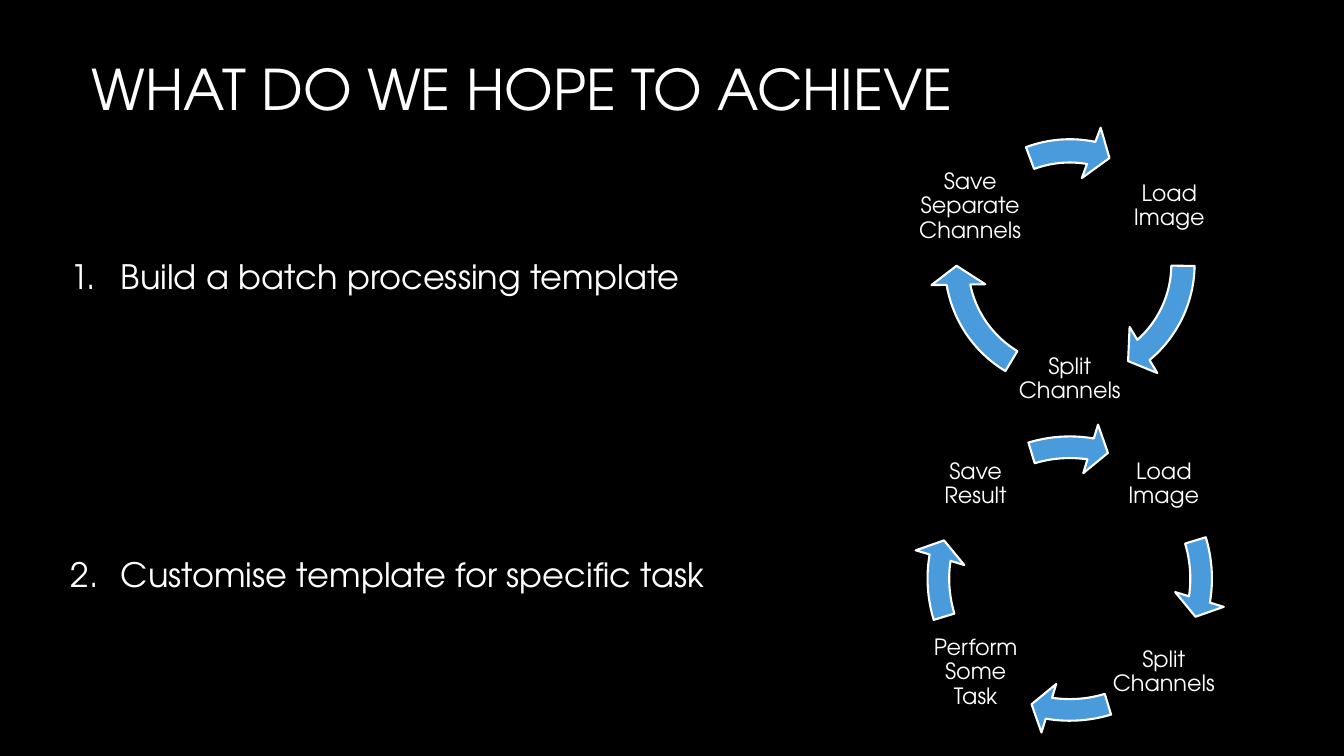
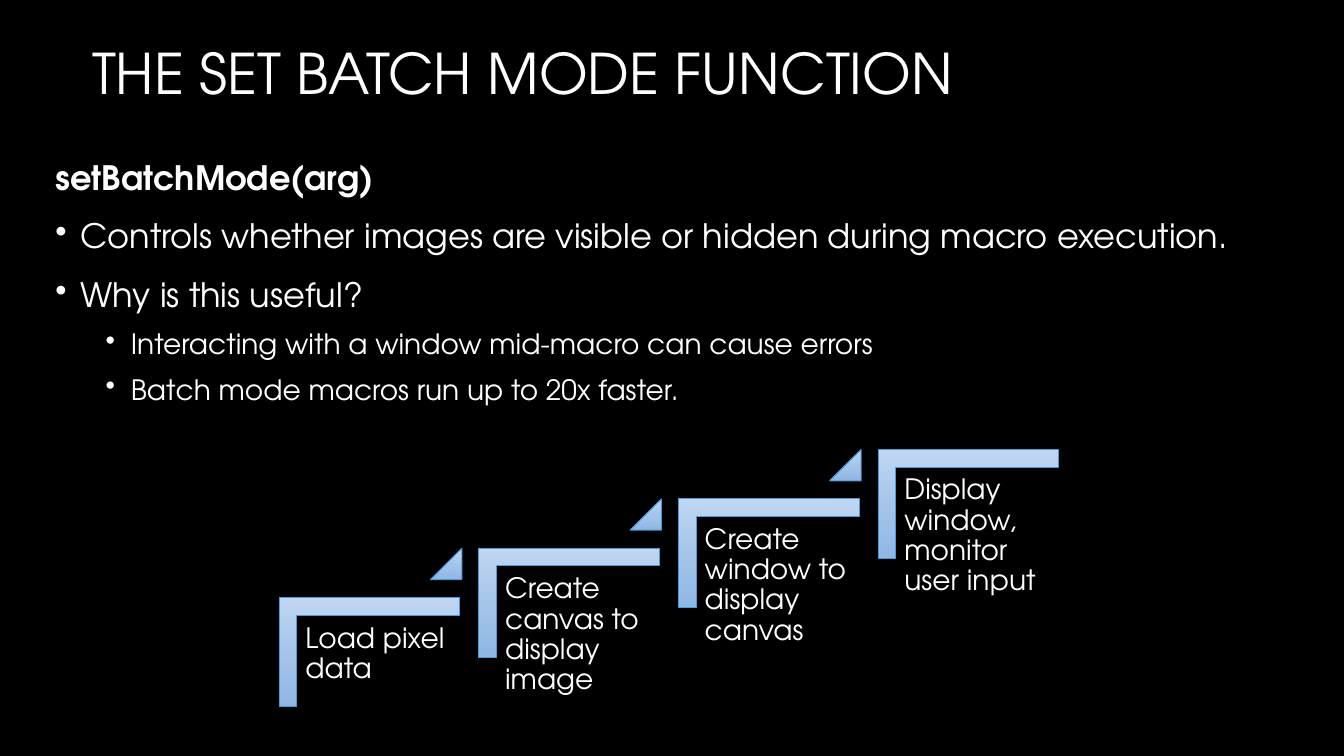
from copy import deepcopy
from dataclasses import dataclass
from math import cos, radians, sin

from lxml import etree
from pptx import Presentation
from pptx.dml.color import RGBColor
from pptx.enum.shapes import MSO_SHAPE
from pptx.enum.text import MSO_ANCHOR, MSO_AUTO_SIZE, PP_ALIGN
from pptx.oxml.ns import qn
from pptx.util import Inches, Pt

ARC, CORNER = MSO_SHAPE.CIRCULAR_ARROW, MSO_SHAPE.CORNER
WEDGE = MSO_SHAPE.ISOSCELES_TRIANGLE
TOP, MIDDLE = MSO_ANCHOR.TOP, MSO_ANCHOR.MIDDLE
LEFT, CENTER, RIGHT = PP_ALIGN.LEFT, PP_ALIGN.CENTER, PP_ALIGN.RIGHT


@dataclass(frozen=True)
class Theme:
    font: str = "TeX Gyre Adventor"
    back: str = "000000"
    ink: str = "FFFFFF"
    blue: str = "4A9BDC"
    shade: tuple = ((0, "BFD6F2"), (0.52, "A4C4E9"), (1, "8FB7E4"))
    title: int = 40
    body: int = 24
    sub: int = 20
    small: int = 16


THEME = Theme()


def rgb(code):
    return RGBColor.from_string(code)


def place(shape, left, top, width, height):
    shape.left, shape.top = Inches(left), Inches(top)
    shape.width, shape.height = Inches(width), Inches(height)


# Text
def frame(shape, anchor=TOP, inset=None):
    box = shape.text_frame
    box.word_wrap = True
    box.auto_size = MSO_AUTO_SIZE.NONE
    box.vertical_anchor = anchor
    if inset is not None:
        box.margin_left = box.margin_right = Inches(inset)
        box.margin_top = box.margin_bottom = Inches(inset)
    return box


def text_box(slide, *area, **form):
    return frame(slide.shapes.add_textbox(*map(Inches, area)), **form)


def mark(para, indent, hang, bullet=None, start=None):
    props = para._p.get_or_add_pPr()
    props.set("marL", str(Inches(indent)))
    props.set("indent", str(-Inches(hang)))
    if start:
        etree.SubElement(props, qn("a:buAutoNum"), type="arabicPeriod",
                         startAt=str(start))
    else:
        etree.SubElement(props, qn("a:buChar"), char=bullet)


def write(box, text, size=THEME.body, bold=False, align=LEFT,
          before=0, after=0, marker=None):
    """Fill the box's empty first paragraph, or add one below."""
    para = box.paragraphs[0]
    if para.runs:
        para = box.add_paragraph()
        para.space_before = Pt(before)
    else:
        para.space_before = Pt(0)
    if marker:
        mark(para, **marker)
    para.alignment, para.line_spacing = align, 0.9
    para.space_after = Pt(after)
    run = para.add_run()
    run.text = text
    font = run.font
    font.name, font.size, font.bold = THEME.font, Pt(size), bold
    font.color.rgb = rgb(THEME.ink)


def titled(deck, text, top):
    slide = deck.slides.add_slide(deck.slide_layouts[5])
    title = slide.shapes.title
    place(title, 0.13, top, 9.42, 1.41)
    write(frame(title, anchor=MIDDLE), text, size=THEME.title, align=RIGHT)
    return slide


# Shapes
def draw(slide, kind, *area, adjust, edge, weight):
    shape = slide.shapes.add_shape(kind, *map(Inches, area))
    shape.shadow.inherit = False
    for i, value in enumerate(adjust):
        shape.adjustments[i] = value
    shape.line.color.rgb, shape.line.width = rgb(edge), Pt(weight)
    return shape


def blend(shape):
    """Shade from top to bottom, whatever way the shape is turned."""
    shape.fill.gradient()
    shape.fill.gradient_angle = 270
    grad = shape._element.spPr.find(qn("a:gradFill"))
    grad.set("rotWithShape", "0")
    stops = grad.find(qn("a:gsLst"))
    stops.insert(1, deepcopy(stops[0]))
    for stop, (spot, code) in zip(shape.fill.gradient_stops, THEME.shade):
        stop.position, stop.color.rgb = spot, rgb(code)


def ring(slide, mid, radius, side, span, names, arcs, shape):
    """Labels clockwise round a circle, with an arc after each."""
    x, y = mid
    thick, head, edge = shape
    turn = 360 / len(names)
    for i, (name, (start, end)) in enumerate(zip(names, arcs)):
        angle = radians(turn * (i + 0.5) - 90)
        box = text_box(slide, x + radius * cos(angle) - side / 2,
                       y + radius * sin(angle) - side / 2, side, side,
                       anchor=MIDDLE, inset=0.02)
        write(box, name, size=THEME.small, align=CENTER)
        # Angles are stored in 60000ths, adjustments in 100000ths
        turns = [0.6 * (deg % 360) for deg in (head, end, start)]
        arc = draw(slide, ARC, x - span / 2, y - span / 2, span, span,
                   adjust=[thick, *turns, edge], edge=THEME.ink, weight=1.5)
        arc.fill.solid()
        arc.fill.fore_color.rgb = rgb(THEME.blue)


def stairs(slide, left, top, names, run=1.98, rise=0.49):
    wide, high = 1.79, 1.08
    for i, name in enumerate(names):
        x, y = left + i * run, top - i * rise
        # The corner is drawn upright, then turned about its centre
        shift = (wide - high) / 2
        step = draw(slide, CORNER, x + shift, y - shift, high, wide,
                    adjust=[0.161, 0.161], edge=THEME.blue, weight=0.75)
        step.rotation = 90
        blend(step)
        box = text_box(slide, x + 0.18, y + 0.18, 1.62, 1.42, inset=0.08)
        write(box, name, size=THEME.sub)
        if i < len(names) - 1:
            blend(draw(slide, WEDGE, x + 1.5, y - rise, 0.31, 0.31,
                       adjust=[1], edge=THEME.blue, weight=0.75))


# Slides
def goals(deck):
    slide = titled(deck, "WHAT DO WE HOPE TO ACHIEVE", 0.21)
    lines = ["Build a batch processing template",
             "Customise template for specific task"]
    for i, line in enumerate(lines):
        box = text_box(slide, 0.6, 1.94 + 2.95 * i, 7.56, 1.65, anchor=MIDDLE)
        write(box, line, marker=dict(indent=0.5, hang=0.5, start=i + 1))
    ring(slide, (10.61, 2.62), 1.14, 1.18, 2.78,
         ["Load Image", "Split Channels", "Save Separate Channels"],
         [(0.88, 49.38), (121.02, 169.52), (249.47, 280.93)],
         (0.083, 9.61, 0.096))
    ring(slide, (10.61, 5.74), 1.32, 1.1, 3.11,
         ["Load Image", "Split Channels", "Perform Some Task", "Save Result"],
         [(90 * i - 16.9, 90 * i + 9.14) for i in range(4)],
         (0.069, 7.76, 0.081))


def batch(deck):
    slide = titled(deck, "THE SET BATCH MODE FUNCTION", 0.05)
    box = text_box(slide, 0.45, 1.55, 12.6, 2.83)
    write(box, "setBatchMode(arg)", bold=True, after=6)
    for line in ["Controls whether images are visible or hidden during macro "
                 "execution.", "Why is this useful?"]:
        write(box, line, before=10, after=6,
              marker=dict(indent=0.25, hang=0.25, bullet="•"))
    for line in ["Interacting with a window mid-macro can cause errors",
                 "Batch mode macros run up to 20x faster."]:
        write(box, line, size=THEME.sub, before=5, after=6,
              marker=dict(indent=0.75, hang=0.25, bullet="•"))
    stairs(slide, 2.77, 5.93,
           ["Load pixel data", "Create canvas to display image",
            "Create window to display canvas",
            "Display window, monitor user input"])


def main():
    deck = Presentation()
    deck.slide_width, deck.slide_height = Inches(13.33), Inches(7.5)
    back = deck.slide_master.background.fill
    back.solid()
    back.fore_color.rgb = rgb(THEME.back)
    goals(deck)
    batch(deck)
    deck.save("out.pptx")


if __name__ == "__main__":
    main()
